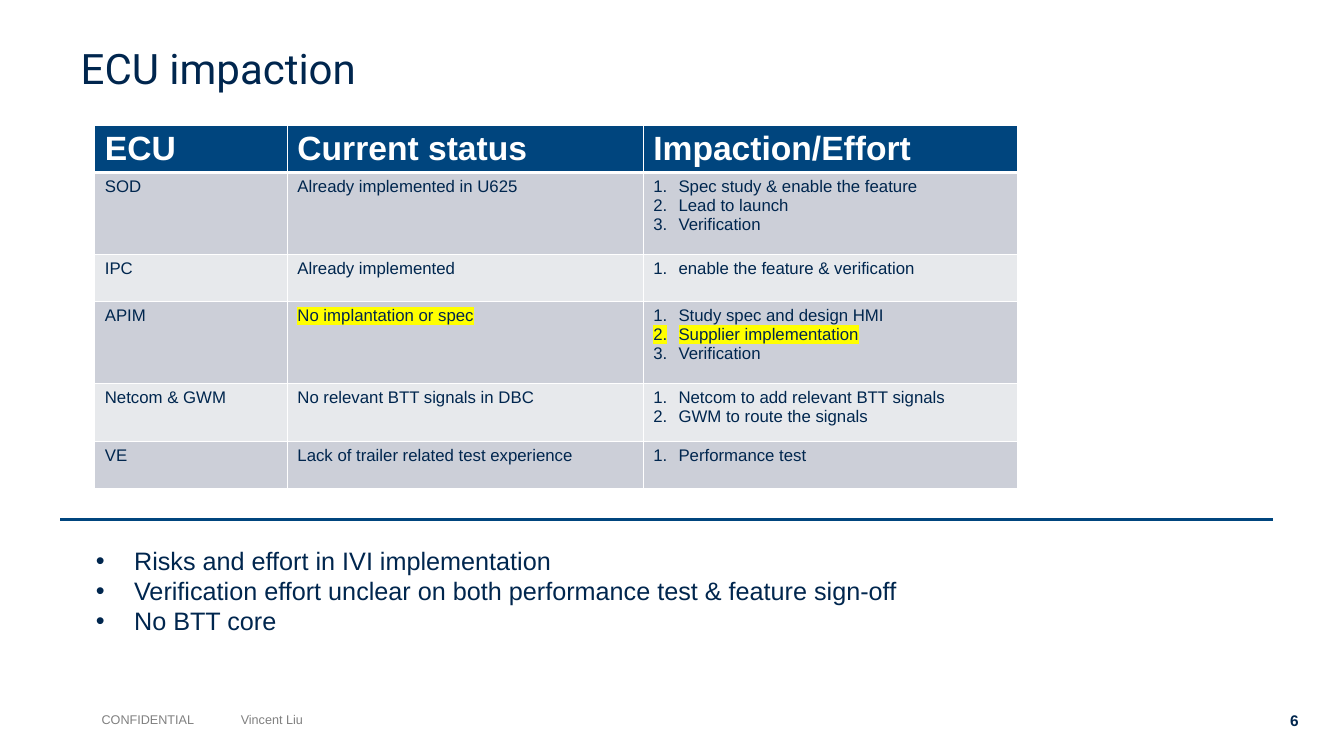
import pptx
import pptx.util
import pptx.dml.color
import pptx.enum.shapes
import pptx.enum.text
import pptx.oxml
import pptx.oxml.ns
import lxml.etree

Inches = pptx.util.Inches
Pt = pptx.util.Pt
RGB = pptx.dml.color.RGBColor.from_string
Anchor = pptx.enum.text.MSO_ANCHOR
Align = pptx.enum.text.PP_ALIGN
qn = pptx.oxml.ns.qn

HUES = {"ink": "00264E", "blue": "00457E", "odd": "CCCFD8", "even": "E7E9EC",
        "white": "FFFFFF", "grey": "808080", "mark": "FFFF00"}

HEAD = ["ECU", "Current status", "Impaction/Effort"]
ROWS = [
    ("SOD", "Already implemented in U625",
     ["Spec study & enable the feature", "Lead to launch", "Verification"]),
    ("IPC", "Already implemented", ["enable the feature & verification"]),
    ("APIM", "No implantation or spec",
     ["Study spec and design HMI", "Supplier implementation", "Verification"]),
    ("Netcom & GWM", "No relevant BTT signals in DBC",
     ["Netcom to add relevant BTT signals", "GWM to route the signals"]),
    ("VE", "Lack of trailer related test experience", ["Performance test"]),
]
MARKED = {"No implantation or spec", "Supplier implementation"}
WIDTHS = [1.91, 3.53, 3.71]
HEIGHTS = [0.47, 0.81, 0.47, 0.81, 0.58, 0.47]
RISKS = ["Risks and effort in IVI implementation",
         "Verification effort unclear on both performance test & feature sign-off",
         "No BTT core"]


class Deck:
    """Holds the style and the current slide, and draws each kind of element."""

    def __init__(self):
        self.show = pptx.Presentation()
        self.show.slide_width = Inches(13.33)
        self.show.slide_height = Inches(7.5)
        self.slide = self.show.slides.add_slide(self.show.slide_layouts[1])

    def place(self, shape, box):
        names = ("left", "top", "width", "height")
        for name, size in zip(names, box):
            setattr(shape, name, Inches(size))

    def node(self, up, tag, **attrs):
        item = lxml.etree.SubElement(up, qn(tag))
        for key, value in attrs.items():
            item.set(key, str(value))
        return item

    def bullet(self, para, indent, tag, **attrs):
        props = para._p.get_or_add_pPr()
        props.set("marL", str(Inches(indent)))
        props.set("indent", str(-Inches(indent)))
        if tag == "a:buChar":
            self.node(props, "a:buFont", typeface="Arial")
        self.node(props, tag, **attrs)

    def words(self, para, text, size, hue="ink", face="Arial", bold=False):
        run = para.add_run()
        run.text = text
        style = {"size": Pt(size), "name": face, "bold": bold}
        for key, value in style.items():
            setattr(run.font, key, value)
        run.font.color.rgb = RGB(HUES[hue])
        if text in MARKED:
            mark = lxml.etree.Element(qn("a:highlight"))
            self.node(mark, "a:srgbClr", val=HUES["mark"])
            run._r.rPr.find(qn("a:solidFill")).addnext(mark)

    def paras(self, frame, lines):
        for spot, line in enumerate(lines):
            para = frame.add_paragraph() if spot else frame.paragraphs[0]
            yield para, line

    def setup(self, frame, anchor):
        style = {"word_wrap": True, "vertical_anchor": anchor,
                 "auto_size": pptx.enum.text.MSO_AUTO_SIZE.NONE}
        for key, value in style.items():
            setattr(frame, key, value)

    def title(self, text, box):
        shape = self.slide.shapes.title
        self.place(shape, box)
        self.setup(shape.text_frame, Anchor.MIDDLE)
        para = shape.text_frame.paragraphs[0]
        para.alignment = Align.LEFT
        para.line_spacing = 0.9
        self.words(para, text, 30, face="Roboto")

    def points(self, lines, box):
        shape = self.slide.placeholders[1]
        self.place(shape, box)
        self.setup(shape.text_frame, Anchor.TOP)
        for para, line in self.paras(shape.text_frame, lines):
            para.space_before = Pt(0)
            self.bullet(para, 0.38, "a:buChar", char="•")
            self.words(para, line, 18)

    def label(self, text, box, align=Align.LEFT, tab=None, **style):
        shape = self.slide.shapes.add_textbox(*map(Inches, box))
        self.setup(shape.text_frame, Anchor.TOP)
        para = shape.text_frame.paragraphs[0]
        para.alignment = align
        if tab:
            tabs = self.node(para._p.get_or_add_pPr(), "a:tabLst")
            self.node(tabs, "a:tab", pos=Inches(tab), algn="l")
        self.words(para, text, **style)

    def rule(self, left, right, top):
        line = self.slide.shapes.add_connector(
            pptx.enum.shapes.MSO_CONNECTOR.STRAIGHT,
            Inches(left), Inches(top), Inches(right), Inches(top))
        line.line.color.rgb = RGB(HUES["blue"])
        line.line.width = Pt(2.25)
        self.node(line._element.spPr, "a:effectLst")

    def paint(self, cell, hue, first):
        props = cell._tc.get_or_add_tcPr()
        for side in "LRTB":
            wide = 3 if first and side == "B" else 1
            edge = self.node(props, "a:ln" + side, w=Pt(wide))
            fill = self.node(edge, "a:solidFill")
            self.node(fill, "a:srgbClr", val=HUES["white"])
        cell.fill.solid()
        cell.fill.fore_color.rgb = RGB(HUES[hue])

    def table(self, left, top):
        grid = self.slide.shapes.add_table(
            len(HEIGHTS), len(WIDTHS), Inches(left), Inches(top),
            Inches(sum(WIDTHS)), Inches(sum(HEIGHTS))).table
        for col, width in zip(grid.columns, WIDTHS):
            col.width = Inches(width)
        for row, height in zip(grid.rows, HEIGHTS):
            row.height = Inches(height)
        for y, row in enumerate([HEAD] + ROWS):
            hue = "blue" if y == 0 else ("odd" if y % 2 else "even")
            for x, value in enumerate(row):
                cell = grid.cell(y, x)
                self.paint(cell, hue, y == 0)
                steps = isinstance(value, list)
                lines = value if steps else [value]
                for para, line in self.paras(cell.text_frame, lines):
                    if steps:
                        self.bullet(para, 0.25, "a:buAutoNum", type="arabicPeriod")
                    if y:
                        self.words(para, line, 12)
                    else:
                        self.words(para, line, 24, "white", bold=True)


def main():
    deck = Deck()
    deck.title("ECU impaction", (0.7, 0.4, 11.72, 0.6))
    deck.table(0.94, 1.24)
    deck.rule(0.6, 12.63, 5.15)
    deck.points(RISKS, (0.85, 5.36, 8.29, 1.01))
    deck.label("CONFIDENTIAL\tVincent Liu", (0.91, 7.01, 2.3, 0.25),
               tab=1.38, size=9, hue="grey")
    deck.label("6", (12.59, 7.01, 0.39, 0.29), align=Align.RIGHT,
               size=11, bold=True)
    deck.show.save("out.pptx")


if __name__ == "__main__":
    main()
